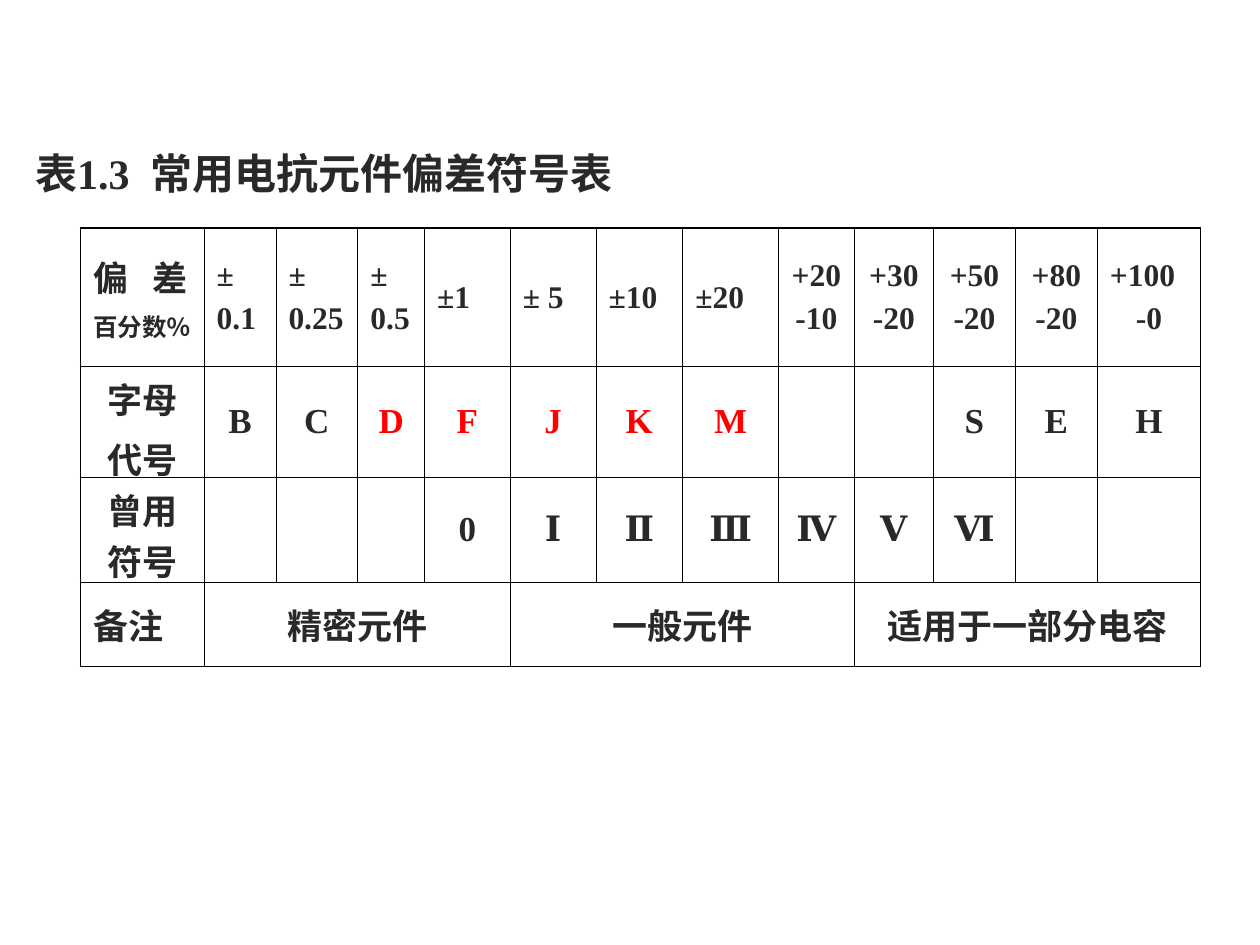
"""Build a slide with the table of deviation symbols for reactive components."""
from lxml import etree
from pptx import Presentation
from pptx.dml.color import RGBColor
from pptx.enum import text as t
from pptx.oxml import ns
from pptx.util import Inches, Pt

INK = RGBColor(0x29, 0x29, 0x29)
RED = RGBColor(0xFF, 0x00, 0x00)
BORDER = RGBColor(0x00, 0x00, 0x00)
OUTER, INNER = 1.08, 0.45
FONT = "Times New Roman"
LEFT, CENTER, JUSTIFY = t.PP_ALIGN.LEFT, t.PP_ALIGN.CENTER, t.PP_ALIGN.JUSTIFY
TOP, MIDDLE = t.MSO_ANCHOR.TOP, t.MSO_ANCHOR.MIDDLE

TITLE = "表1.3  常用电抗元件偏差符号表"
COLUMN_WIDTHS = [0.98, 0.57, 0.65, 0.53, 0.68, 0.68, 0.69, 0.76, 0.6, 0.63, 0.65, 0.65, 0.82]
ROW_HEIGHTS = [1.1, 0.88, 0.83, 0.67]
ROWS = [
    ["偏   差\n百分数％", "±\n0.1", "±\n0.25", "±\n0.5", "±1", "± 5", "±10", "±20",
     "+20\n-10", "+30\n-20", "+50\n-20", "+80\n-20", "+100\n-0"],
    ["字母\n代号", "B", "C", "D", "F", "J", "K", "M", "", "", "S", "E", "H"],
    ["曾用符号", "", "", "", "0", "Ⅰ", "Ⅱ", "Ⅲ", "Ⅳ", "Ⅴ", "Ⅵ", "", ""],
    ["备注", "精密元件", "", "", "", "一般元件", "", "", "", "适用于一部分电容", "", "", ""],
]
RED_CODES = set("DFJKM")
NOTE_STARTS, NOTE_SPAN = (1, 5, 9), 4


def write(frame, content, sizes=(20,), aligns=(CENTER,), color=INK):
    """Write one paragraph per line; the last size and alignment carry on."""
    for index, line in enumerate(content.split("\n")):
        paragraph = frame.add_paragraph() if index else frame.paragraphs[0]
        size = sizes[min(index, len(sizes) - 1)]
        paragraph.alignment = aligns[min(index, len(aligns) - 1)]
        if index:
            paragraph.space_before = Pt(size / 4)
        run = paragraph.add_run()
        run.text = line
        run.font.name, run.font.size, run.font.bold = FONT, Pt(size), True
        run.font.color.rgb = color


def set_borders(cell, widths):
    """Draw the left, right, top and bottom lines of a cell."""
    properties = cell._tc.get_or_add_tcPr()
    for index, (side, width) in enumerate(zip("LRTB", widths)):
        line = etree.Element(ns.qn(f"a:ln{side}"), w=str(Pt(width)))
        fill = etree.SubElement(line, ns.qn("a:solidFill"))
        etree.SubElement(fill, ns.qn("a:srgbClr"), val=str(BORDER))
        properties.insert(index, line)


def cell_format(row, column, content):
    """Return the sizes, alignments and colour of a cell."""
    if row == 0:
        if column == 0:
            return {"sizes": (20, 14), "aligns": (LEFT,)}
        if content.startswith("+100"):
            return {"sizes": (18,), "aligns": (LEFT, CENTER)}
        return {"sizes": (18,), "aligns": (CENTER if content[0] == "+" else LEFT,)}
    if content == "备注":
        return {"aligns": (LEFT,)}
    return {"color": RED if content in RED_CODES else INK}


def add_symbol_table(slide):
    """Add the table, its text, merged notes and borders."""
    last_row, last_column = len(ROWS) - 1, len(COLUMN_WIDTHS) - 1
    table = slide.shapes.add_table(
        len(ROWS), len(COLUMN_WIDTHS), Inches(0.64), Inches(1.81),
        Inches(sum(COLUMN_WIDTHS)), Inches(sum(ROW_HEIGHTS))).table
    table.first_row = table.horz_banding = False
    for column, width in zip(table.columns, COLUMN_WIDTHS):
        column.width = Inches(width)
    for row, height in zip(table.rows, ROW_HEIGHTS):
        row.height = Inches(height)
    for start in NOTE_STARTS:
        table.cell(last_row, start).merge(table.cell(last_row, start + NOTE_SPAN - 1))
    for row, contents in enumerate(ROWS):
        for column, content in enumerate(contents):
            cell = table.cell(row, column)
            cell.fill.background()
            cell.vertical_anchor = TOP if column == 0 and row in (1, 2) else MIDDLE
            right_column = column + (cell.span_width - 1 if cell.is_merge_origin else 0)
            edges = (column == 0, right_column == last_column, row == 0, row == last_row)
            set_borders(cell, [OUTER if edge else INNER for edge in edges])
            if content:
                write(cell.text_frame, content, **cell_format(row, column, content))


def main():
    """Build and save the presentation."""
    presentation = Presentation()
    presentation.slide_width, presentation.slide_height = Inches(10), Inches(7.5)
    slide = presentation.slides.add_slide(presentation.slide_layouts[6])
    title = slide.shapes.add_textbox(Inches(0.18), Inches(1.12), Inches(6.5), Inches(0.5))
    title.text_frame.word_wrap = True
    title.text_frame.auto_size = t.MSO_AUTO_SIZE.SHAPE_TO_FIT_TEXT
    write(title.text_frame, TITLE, sizes=(24,), aligns=(JUSTIFY,))
    add_symbol_table(slide)
    presentation.save("out.pptx")


if __name__ == "__main__":
    main()
